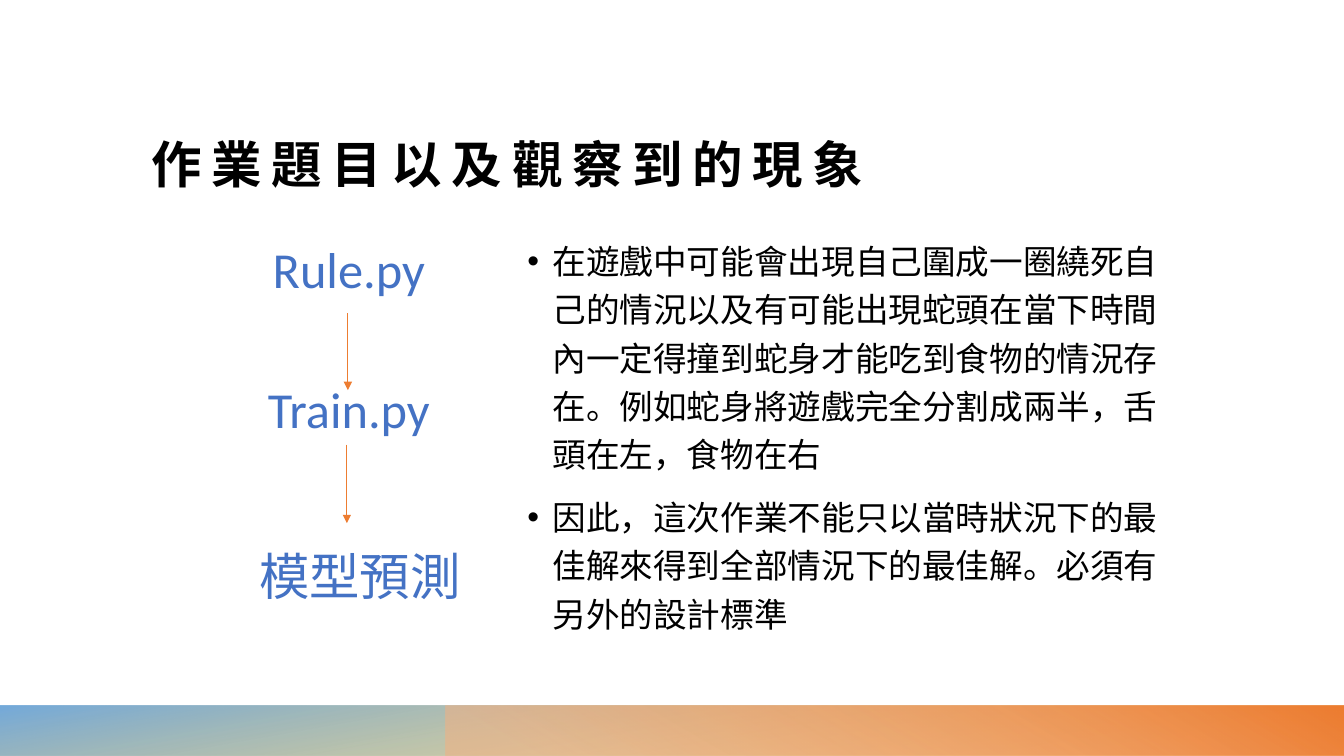
from lxml.etree import SubElement
from pptx import Presentation
from pptx.dml.color import RGBColor
from pptx.enum.shapes import MSO_CONNECTOR, MSO_SHAPE
from pptx.enum.text import MSO_ANCHOR, PP_ALIGN
from pptx.oxml.ns import qn
from pptx.util import Inches, Pt

FONT = "Calibri"
BLACK, BLUE, ORANGE = "000000", "4472C4", "ED7D31"

TITLE = "作業題目以及觀察到的現象"
OBSERVATIONS = [
    "在遊戲中可能會出現自己圍成一圈繞死自己的情況以及有可能出現蛇頭在當下時間內一定得撞到蛇身才能吃到食物的情況存在。例如蛇身將遊戲完全分割成兩半，舌頭在左，食物在右",
    "因此，這次作業不能只以當時狀況下的最佳解來得到全部情況下的最佳解。必須有另外的設計標準",
]
# text, top, width
STEPS = [("Rule.py", 2.31, 2.12), ("Train.py", 3.7, 2.12), ("模型預測", 5.36, 2.34)]
STEP_LEFT, STEP_HEIGHT = 2.4, 0.71
# x, top, bottom
ARROWS = [(3.45, 3.11, 3.87), (3.44, 4.41, 5.19)]
# left, width, rotation, gradient angle, stops as (position, colour, opacity) in percent
BANDS = [
    (0, 13.33, 180, 100, [(14, "CF9B00", 28), (100, "5B9BD5", 85)]),
    (4.42, 8.92, 0, 240, [(9, "F4B183", 55), (99, ORANGE, 100)]),
]
BAND_TOP, BAND_HEIGHT = 7, 0.5


def color(value):
    return RGBColor.from_string(value)


def add_band(slide, left, width, rotation, angle, stops):
    shape = slide.shapes.add_shape(
        MSO_SHAPE.RECTANGLE, Inches(left), Inches(BAND_TOP), Inches(width), Inches(BAND_HEIGHT))
    shape.shadow.inherit = False
    shape.line.fill.background()
    shape.rotation = rotation
    shape.element.spPr.find(qn("a:xfrm")).set("flipH", "1")
    shape.fill.gradient()
    shape.fill.gradient_angle = 360 - angle
    for stop, (position, value, _) in zip(shape.fill.gradient_stops, stops):
        stop.position = position / 100
        stop.color.rgb = color(value)
    gradient_colors = shape.element.spPr.iter(qn("a:srgbClr"))
    for element, (_, _, opacity) in zip(list(gradient_colors), stops):
        SubElement(element, qn("a:alpha"), val=str(opacity * 1000))


def add_text(slide, texts, left, top, width, height, size=36, fill=BLACK, bold=False,
             align=PP_ALIGN.LEFT, anchor=MSO_ANCHOR.TOP, inset=True, spacing=0, bullet=False):
    frame = slide.shapes.add_textbox(
        Inches(left), Inches(top), Inches(width), Inches(height)).text_frame
    frame.word_wrap = True
    frame.vertical_anchor = anchor
    if not inset:
        frame.margin_left = frame.margin_right = frame.margin_top = frame.margin_bottom = 0
    for index, text in enumerate(texts):
        paragraph = frame.add_paragraph() if index else frame.paragraphs[0]
        paragraph.alignment = align
        run = paragraph.add_run()
        run.text = text
        run.font.name = FONT
        run.font.size = Pt(size)
        run.font.bold = bold
        run.font.color.rgb = color(fill)
        if spacing:
            run.font._element.set("spc", str(spacing * 100))
        if bullet:
            paragraph.line_spacing = 1.2
            paragraph.space_before = Pt(10)
            properties = paragraph._p.get_or_add_pPr()
            properties.set("marL", str(Inches(0.25)))
            properties.set("indent", str(-Inches(0.25)))
            SubElement(properties, qn("a:buFont"), typeface="Arial")
            SubElement(properties, qn("a:buChar"), char="•")


def add_arrow(slide, x, top, bottom):
    connector = slide.shapes.add_connector(
        MSO_CONNECTOR.STRAIGHT, Inches(x), Inches(top), Inches(x), Inches(bottom))
    connector.line.color.rgb = color(ORANGE)
    connector.line.width = Pt(0.5)
    SubElement(connector.line._get_or_add_ln(), qn("a:tailEnd"), type="triangle")
    SubElement(connector.element.spPr, qn("a:effectLst"))


def main():
    presentation = Presentation()
    presentation.slide_width, presentation.slide_height = Inches(13.33), Inches(7.5)
    slide = presentation.slides.add_slide(presentation.slide_layouts[6])
    for band in BANDS:
        add_band(slide, *band)
    add_text(slide, [TITLE], 1.5, 0.57, 11.2, 1.35, bold=True, spacing=7,
             anchor=MSO_ANCHOR.BOTTOM, inset=False)
    add_text(slide, OBSERVATIONS, 5.23, 2.31, 6.42, 4.33, size=24, inset=False, bullet=True)
    for text, top, width in STEPS:
        add_text(slide, [text], STEP_LEFT, top, width, STEP_HEIGHT, fill=BLUE,
                 align=PP_ALIGN.CENTER)
    for arrow in ARROWS:
        add_arrow(slide, *arrow)
    presentation.save("out.pptx")


if __name__ == "__main__":
    main()
